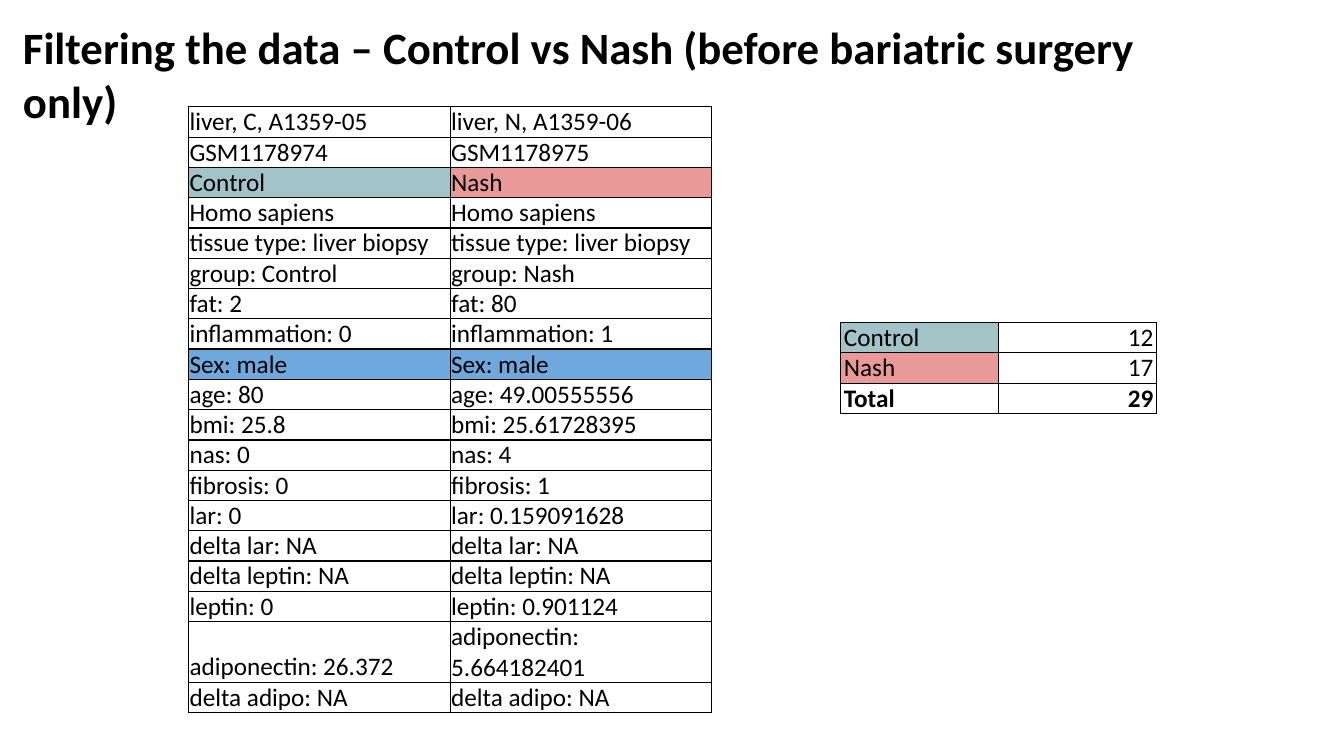
import pptx
import pptx.util
import pptx.dml.color
import pptx.enum.text
import lxml.etree

WIDE, HIGH = 13.33, 7.5
HUES = {"ink": "000000", "teal": "A2C4C9", "rose": "EA9999", "blue": "6FA8DC"}
FONT = "Calibri"
TITLE = "Filtering the data – Control vs Nash (before bariatric surgery only)"
SAMPLES = [
    ("liver, C, A1359-05", "liver, N, A1359-06"),
    ("GSM1178974", "GSM1178975"),
    ("Control", "Nash"),
    ("Homo sapiens", "Homo sapiens"),
    ("tissue type: liver biopsy", "tissue type: liver biopsy"),
    ("group: Control", "group: Nash"),
    ("fat: 2", "fat: 80"),
    ("inflammation: 0", "inflammation: 1"),
    ("Sex: male", "Sex: male"),
    ("age: 80", "age: 49.00555556"),
    ("bmi: 25.8", "bmi: 25.61728395"),
    ("nas: 0", "nas: 4"),
    ("fibrosis: 0", "fibrosis: 1"),
    ("lar: 0", "lar: 0.159091628"),
    ("delta lar: NA", "delta lar: NA"),
    ("delta leptin: NA", "delta leptin: NA"),
    ("leptin: 0", "leptin: 0.901124"),
    ("adiponectin: 26.372", "adiponectin: 5.664182401"),
    ("delta adipo: NA", "delta adipo: NA"),
]
COUNTS = [("Control", "12"), ("Nash", "17"), ("Total", "29")]
FILLS = {"Control": "teal", "Nash": "rose", "Sex: male": "blue"}
ROW = HIGH / 25

Inches, Pt = pptx.util.Inches, pptx.util.Pt
ALIGN = pptx.enum.text.PP_ALIGN


def color(name):
    return pptx.dml.color.RGBColor.from_string(HUES[name])


def write(frame, text, size, bold=False):
    run = frame.paragraphs[0].add_run()
    run.text = text
    run.font.name = FONT
    run.font.size = Pt(size)
    run.font.bold = bold
    run.font.color.rgb = color("ink")


def outline(cell):
    props = cell._tc.get_or_add_tcPr()
    space = pptx.oxml.ns.nsdecls("a")
    for side in "LRTB":
        props.append(pptx.oxml.parse_xml(
            f'<a:ln{side} {space} w="12700"><a:solidFill>'
            f'<a:srgbClr val="{HUES["ink"]}"/></a:solidFill></a:ln{side}>'))


def grid(slide, rows, left, top, width, inset, total=False):
    frame = slide.shapes.add_table(
        len(rows), len(rows[0]), Inches(left), Inches(top),
        Inches(width), Inches(ROW * len(rows)))
    table = frame.table
    table.first_row = table.horz_banding = False
    for r, row in enumerate(rows):
        for c, text in enumerate(row):
            cell = table.cell(r, c)
            cell.margin_left = cell.margin_right = Inches(inset)
            cell.margin_top = cell.margin_bottom = 0
            cell.vertical_anchor = pptx.enum.text.MSO_ANCHOR.BOTTOM
            outline(cell)
            if text in FILLS:
                cell.fill.solid()
                cell.fill.fore_color.rgb = color(FILLS[text])
            else:
                cell.fill.background()
            write(cell.text_frame, text, 18, total and r == len(rows) - 1)
            if total and c:
                cell.text_frame.paragraphs[0].alignment = ALIGN.RIGHT


def main():
    deck = pptx.Presentation()
    deck.slide_width, deck.slide_height = Inches(WIDE), Inches(HIGH)
    slide = deck.slides.add_slide(deck.slide_layouts[6])
    box = slide.shapes.add_textbox(
        Inches(0.13), Inches(0.15), Inches(11.66), Inches(0.64))
    box.text_frame.word_wrap = True
    write(box.text_frame, TITLE, 32, True)
    grid(slide, SAMPLES, 1.87, 1.06, 5.19, 0.01)
    grid(slide, COUNTS, 8.34, 3.2, 3.13, 0.03, True)
    deck.save("out.pptx")


if __name__ == "__main__":
    main()
